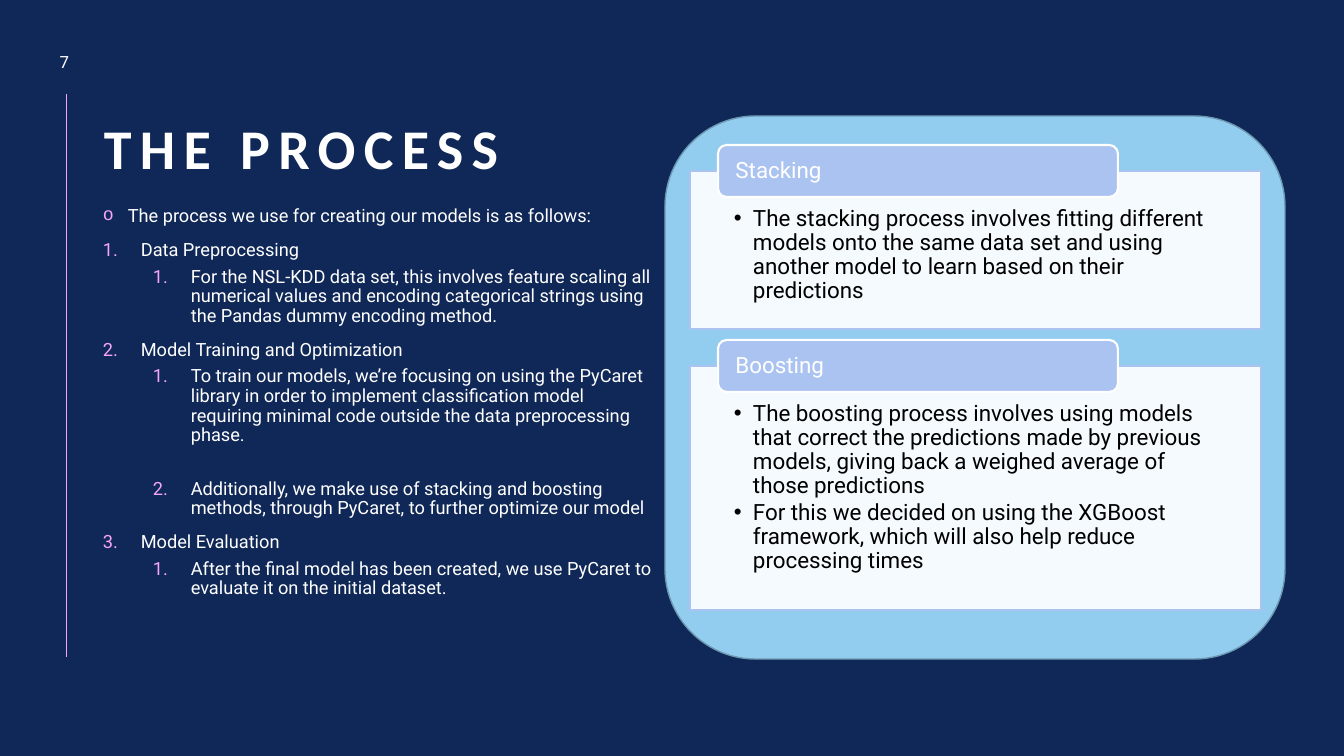
from dataclasses import dataclass

from lxml.etree import SubElement
from pptx import Presentation
from pptx.dml.color import RGBColor
from pptx.enum.shapes import MSO_CONNECTOR, MSO_SHAPE
from pptx.enum.text import MSO_ANCHOR, PP_ALIGN
from pptx.oxml.ns import qn
from pptx.util import Emu, Pt

EMU_PER_PX = 914400 / 100.8


@dataclass(frozen=True)
class Theme:
    navy: str = "102857"
    sky: str = "92CDF0"
    sky_edge: str = "6C98B2"
    periwinkle: str = "ABC3F0"
    pink: str = "F6A6F4"
    white: str = "FFFFFF"
    black: str = "000000"
    title_font: str = "Calibri"
    text_font: str = "Roboto"
    title_size: int = 40
    card_size: int = 16
    step_size: int = 13
    number_size: int = 12


THEME = Theme()

# Text, level, bullet, left indent in px, space before in points
STEPS = [
    ("The process we use for creating our models is as follows:", 0, "o", 25, 10),
    ("Data Preprocessing", 0, "1.", 38, 10),
    ("For the NSL-KDD data set, this involves feature scaling all numerical values "
     "and encoding categorical strings using the Pandas dummy encoding method.",
     1, "1.", 88, 5),
    ("Model Training and Optimization", 0, "1.", 38, 10),
    ("To train our models, we’re focusing on using the PyCaret library in order to "
     "implement classification model requiring minimal code outside the data "
     "preprocessing phase.", 1, "1.", 88, 5),
    ("Additionally, we make use of stacking and boosting methods, through PyCaret, "
     "to further optimize our model", 1, "1.", 88, 24),
    ("Model Evaluation", 0, "1.", 38, 10),
    ("After the final model has been created, we use PyCaret to evaluate it on the "
     "initial dataset.", 1, "1.", 88, 5),
]

# Heading, top and height in px, points
CARDS = [
    ("Stacking", 171, 158, [
        "The stacking process involves fitting different models onto the same data "
        "set and using another model to learn based on their predictions"]),
    ("Boosting", 366, 244, [
        "The boosting process involves using models that correct the predictions made "
        "by previous models, giving back a weighed average of those predictions",
        "For this we decided on using the XGBoost framework, which will also help "
        "reduce processing times"]),
]


def px(length):
    return Emu(round(length * EMU_PER_PX))


def rgb(colour):
    return RGBColor.from_string(colour)


def set_bullet(para, mark, left, hanging, colour=None):
    """Give a hanging bullet; the mark "1." means automatic numbering."""
    props = para._p.get_or_add_pPr()
    props.set("marL", str(px(left)))
    props.set("indent", str(-px(hanging)))
    if colour:
        holder = SubElement(props, qn("a:buClr"))
        SubElement(holder, qn("a:srgbClr"), val=colour)
    if mark == "1.":
        SubElement(props, qn("a:buFont"), typeface="+mj-lt")
        SubElement(props, qn("a:buAutoNum"), type="arabicPeriod")
    else:
        typeface = "Courier New" if mark == "o" else "Arial"
        SubElement(props, qn("a:buFont"), typeface=typeface)
        SubElement(props, qn("a:buChar"), char=mark)


def style_font(para, size, colour, name=THEME.text_font, bold=False):
    para.font.name = name
    para.font.size = Pt(size)
    para.font.bold = bold
    para.font.color.rgb = rgb(colour)


def add_paragraph(frame, text):
    """Fill the empty first paragraph, or append a new one."""
    para = frame.paragraphs[0] if not frame.text else frame.add_paragraph()
    para.text = text
    para.line_spacing = 0.9
    para.alignment = PP_ALIGN.LEFT
    return para


def add_text_box(page, left, top, width, height, anchor=MSO_ANCHOR.TOP):
    box = page.shapes.add_textbox(px(left), px(top), px(width), px(height))
    frame = box.text_frame
    frame.word_wrap = True
    frame.vertical_anchor = anchor
    return frame


def add_panel(page, kind, left, top, width, height, fill, edge, weight):
    panel = page.shapes.add_shape(kind, px(left), px(top), px(width), px(height))
    panel.shadow.inherit = False
    panel.fill.solid()
    panel.fill.fore_color.rgb = rgb(fill)
    panel.line.color.rgb = rgb(edge)
    panel.line.width = Pt(weight)
    return panel


def set_margins(frame, side, top, bottom):
    frame.word_wrap = True
    frame.margin_left = frame.margin_right = px(side)
    frame.margin_top, frame.margin_bottom = px(top), px(bottom)


def add_side_rule(page):
    rule = page.shapes.add_connector(
        MSO_CONNECTOR.STRAIGHT, px(66), px(94), px(66), px(657))
    rule.line.color.rgb = rgb(THEME.pink)
    rule.line.width = Pt(0.5)
    SubElement(rule._element.spPr, qn("a:effectLst"))


def add_title(page):
    frame = add_text_box(page, 94, 92, 1200, 118, MSO_ANCHOR.MIDDLE)
    para = add_paragraph(frame, "THE PROCESS")
    style_font(para, THEME.title_size, THEME.white, THEME.title_font, bold=True)
    para._p.pPr.find(qn("a:defRPr")).set("spc", "600")


def add_page_number(page):
    frame = add_text_box(page, 36, 45, 57, 34, MSO_ANCHOR.MIDDLE)
    para = add_paragraph(frame, "7")
    para.line_spacing = 1.0
    para.alignment = PP_ALIGN.CENTER
    para.space_after = Pt(6)
    style_font(para, THEME.number_size, THEME.white)


def add_steps(page):
    frame = add_text_box(page, 93, 202, 571, 480)
    for text, level, mark, left, gap in STEPS:
        para = add_paragraph(frame, text)
        para.level = level
        para.space_before = Pt(gap)
        set_bullet(para, mark, left, min(left, 38) if mark == "1." else 25, THEME.pink)
        style_font(para, THEME.step_size, THEME.white)


def add_card(page, heading, top, height, points):
    body = add_panel(page, MSO_SHAPE.RECTANGLE, 690, top, 571, height,
                     THEME.white, THEME.periwinkle, 1)
    colour = body._element.spPr.find(qn("a:solidFill")).find(qn("a:srgbClr"))
    SubElement(colour, qn("a:alpha"), val="90000")
    frame = body.text_frame
    frame.vertical_anchor = MSO_ANCHOR.TOP
    set_margins(frame, 44, 36, 12)
    for point in points:
        para = add_paragraph(frame, point)
        para.level = 1
        para.space_after = Pt(1.5)
        set_bullet(para, "•", 19, 19)
        style_font(para, THEME.card_size, THEME.black)

    tab = add_panel(page, MSO_SHAPE.ROUNDED_RECTANGLE, 718, top - 26, 400, 52,
                    THEME.periwinkle, THEME.white, 1.5)
    tab.text_frame.vertical_anchor = MSO_ANCHOR.MIDDLE
    set_margins(tab.text_frame, 15, 0, 0)
    para = add_paragraph(tab.text_frame, heading)
    style_font(para, THEME.card_size, THEME.white)


def main():
    deck = Presentation()
    deck.slide_width, deck.slide_height = px(1344), px(756)
    page = deck.slides.add_slide(deck.slide_layouts[6])
    page.background.fill.solid()
    page.background.fill.fore_color.rgb = rgb(THEME.navy)

    add_side_rule(page)
    add_panel(page, MSO_SHAPE.ROUNDED_RECTANGLE, 665, 116, 620, 543,
              THEME.sky, THEME.sky_edge, 1)
    add_title(page)
    add_steps(page)
    add_page_number(page)
    for card in CARDS:
        add_card(page, *card)
    deck.save("out.pptx")


if __name__ == "__main__":
    main()
